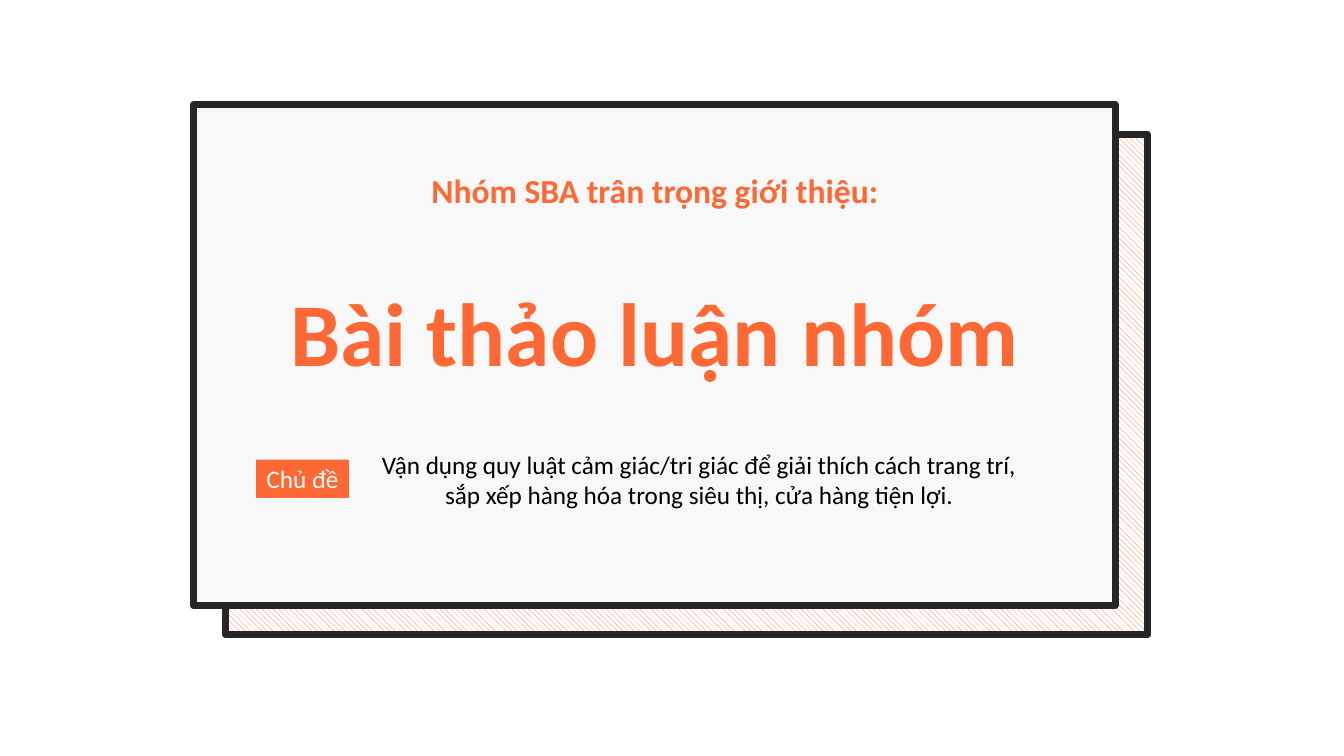
import pptx
import pptx.dml.color
import pptx.enum.dml
import pptx.enum.shapes
import pptx.enum.text
import pptx.util

PX = 9144  # 100 px to the inch
ORANGE, DARK, PALE, WHITE, BLACK = "FE6835", "262626", "F8F8F8", "FFFFFF", "000000"


def px(length):
    return pptx.util.Emu(length * PX)


def color(value):
    return pptx.dml.color.RGBColor.from_string(value)


def add_rectangle(slide, box, fill, line=None):
    shape = slide.shapes.add_shape(
        pptx.enum.shapes.MSO_SHAPE.RECTANGLE, *map(px, box))
    shape.shadow.inherit = False
    shape.fill.solid()
    shape.fill.fore_color.rgb = color(fill)
    if line:
        shape.line.color.rgb = color(line)
        shape.line.width = pptx.util.Pt(5)
    else:
        shape.line.fill.background()
    return shape


def write_text(shape, text, size, text_color, bold=False, wrap=True):
    frame = shape.text_frame
    frame.word_wrap = wrap
    frame.vertical_anchor = pptx.enum.text.MSO_ANCHOR.MIDDLE
    paragraph = frame.paragraphs[0]
    paragraph.text = text
    paragraph.alignment = pptx.enum.text.PP_ALIGN.CENTER
    font_format = {"name": "Calibri", "size": pptx.util.Pt(size), "bold": bold}
    for name, value in font_format.items():
        setattr(paragraph.font, name, value)
    paragraph.font.color.rgb = color(text_color)


def add_text(slide, box, *text_format, **options):
    write_text(slide.shapes.add_textbox(*map(px, box)), *text_format, **options)


def add_card(slide, box):
    """Pale card over a hatched card set off to the lower right."""
    left, top, width, height = box
    hatched = add_rectangle(slide, (left + 32, top + 29, width, height), WHITE, DARK)
    hatched.fill.patterned()
    hatched.fill.pattern = pptx.enum.dml.MSO_PATTERN.WIDE_DOWNWARD_DIAGONAL
    hatched.fill.fore_color.rgb = color(ORANGE)
    hatched.fill.back_color.rgb = color(WHITE)
    add_rectangle(slide, box, PALE, DARK)


def add_headings(slide, box):
    left, top, width, height = box
    add_text(slide, (left + 32, top + 60, width - 63, 50),
             "Nhóm SBA trân trọng giới thiệu:", 24, ORANGE, bold=True)
    add_text(slide, (left + 75, top + 165, width - 150, 118),
             "Bài thảo luận nhóm", 64, ORANGE, bold=True, wrap=False)


def add_topic(slide, box):
    """Orange tag on the left, topic sentence on the right."""
    left, top, width, height = box
    tag = add_rectangle(slide, (left, top + 16, 92, 38), ORANGE)
    write_text(tag, "Chủ đề", 18, WHITE, wrap=False)
    add_text(slide, (left + 102, top, width - 102, height),
             "Vận dụng quy luật cảm giác/tri giác để giải thích cách trang trí, "
             "sắp xếp hàng hóa trong siêu thị, cửa hàng tiện lợi.", 18, BLACK)


def build_title_slide(presentation, box):
    slide = presentation.slides.add_slide(presentation.slide_layouts[6])
    left, top, width, height = box
    add_card(slide, box)
    add_headings(slide, box)
    add_topic(slide, (left + 62, top + 336, width - 137, 71))


def main():
    presentation = pptx.Presentation()
    presentation.slide_width = px(1333)
    presentation.slide_height = px(750)
    build_title_slide(presentation, (192, 104, 914, 497))
    presentation.save("out.pptx")


if __name__ == "__main__":
    main()
